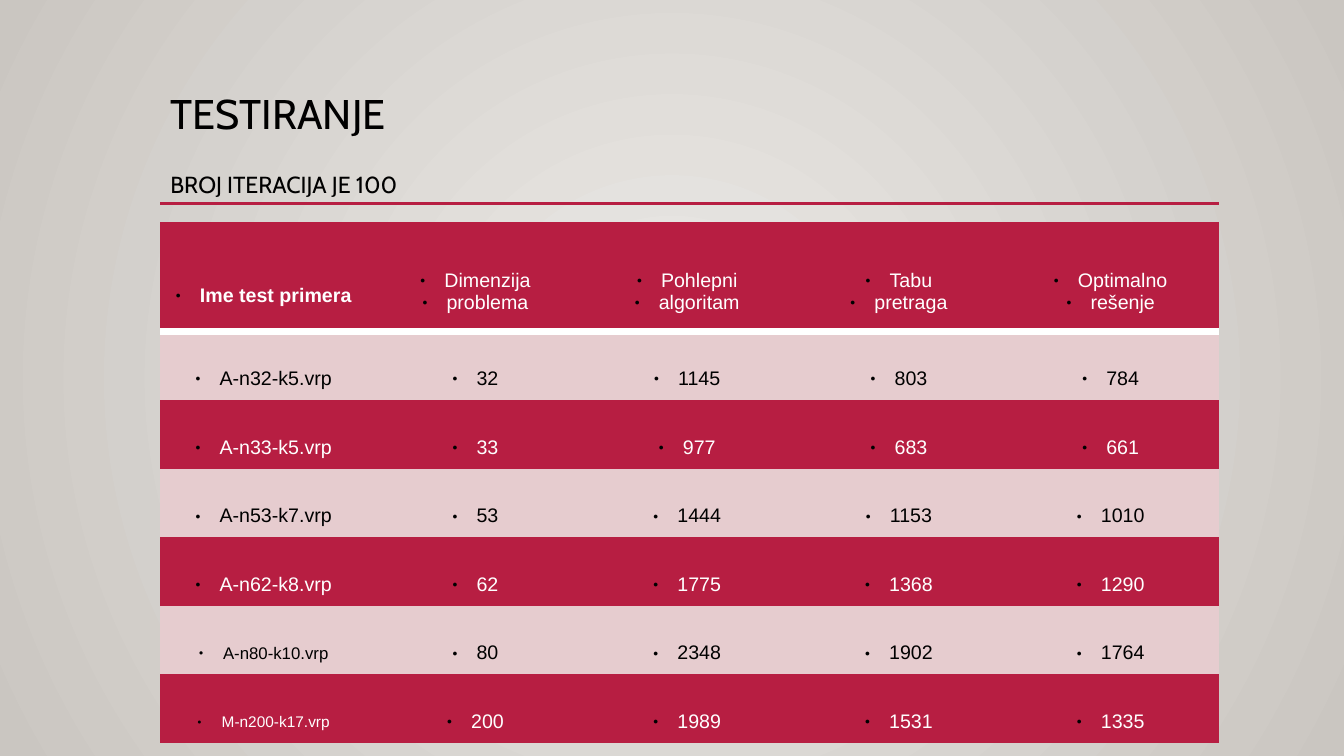
"""Build the slide with the test results for 100 iterations."""
from lxml import etree
from pptx import Presentation
from pptx.dml import color
from pptx.enum import shapes, text
from pptx.oxml import ns, parse_xml
from pptx.util import Inches, Pt

RED, PINK, WHITE, BLACK = "B71E42", "E6CCCF", "FFFFFF", "000000"
LEFT, WIDE = 1.59, 10.5
NS = ns.nsdecls("a")
BULLET = (
    f'<a:buClr {NS}><a:srgbClr val="{BLACK}"/></a:buClr>',
    f'<a:buSzPct {NS} val="45000"/>',
    f'<a:buFont {NS} typeface="Arial"/>',
    f'<a:buChar {NS} char="●"/>',
)
ROWS = [
    ("Ime test primera", "Dimenzija\nproblema", "Pohlepni\nalgoritam", "Tabu\npretraga", "Optimalno\nrešenje"),
    ("A-n32-k5.vrp", "32", "1145", "803", "784"),
    ("A-n33-k5.vrp", "33", "977", "683", "661"),
    ("A-n53-k7.vrp", "53", "1444", "1153", "1010"),
    ("A-n62-k8.vrp", "62", "1775", "1368", "1290"),
    ("A-n80-k10.vrp", "80", "2348", "1902", "1764"),
    ("M-n200-k17.vrp", "200", "1989", "1531", "1335"),
]
SMALL = {"A-n80-k10.vrp": 12, "M-n200-k17.vrp": 11}


def rgb(code):
    return color.RGBColor.from_string(code)


def style(par, size, face, code, bold=False):
    for run in par.runs:
        run.font.size = Pt(size)
        run.font.name = face
        run.font.bold = bold
        run.font.color.rgb = rgb(code)


deck = Presentation()
deck.slide_width, deck.slide_height = Inches(13.33), Inches(7.5)
slide = deck.slides.add_slide(deck.slide_layouts[5])

back = slide.background.fill
back.gradient()
for stop, code, pos in zip(back.gradient_stops, ("ECEAE7", "CAC6C1"), (0, 1)):
    stop.color.rgb = rgb(code)
    stop.position = pos
grad = slide.element.find(".//" + ns.qn("a:gradFill"))
grad.remove(grad.find(ns.qn("a:lin")))
grad.append(parse_xml(
    f'<a:path {NS} path="circle"><a:fillToRect l="50000" t="50000" r="50000" b="50000"/></a:path>'))

rule = slide.shapes.add_connector(
    shapes.MSO_CONNECTOR.STRAIGHT, Inches(LEFT), Inches(2.02), Inches(LEFT + WIDE), Inches(2.02))
rule.line.color.rgb = rgb(RED)
rule.line.width = Pt(2.5)
etree.SubElement(rule.element.spPr, ns.qn("a:effectLst"))

title = slide.shapes.title
title.left, title.top = Inches(LEFT), Inches(0.88)
title.width, title.height = Inches(WIDE), Inches(1.15)
frame = title.text_frame
frame.text = "TESTIRANJE\nBROJ ITERACIJA JE 100"
frame.auto_size = text.MSO_AUTO_SIZE.NONE
frame.word_wrap = True
frame.vertical_anchor = text.MSO_ANCHOR.BOTTOM
frame.margin_bottom = Inches(0.07)
for par, size, gap in zip(frame.paragraphs, (29.6, 16.6), (0, 27)):
    par.alignment = text.PP_ALIGN.LEFT
    par.line_spacing = 0.8
    par.space_before = Pt(gap)
    style(par, size, "Cabin", BLACK)

holder = slide.shapes.add_table(
    len(ROWS), 5, Inches(LEFT), Inches(2.2), Inches(WIDE), Inches(5.19))
table = holder.table
table.first_row = table.horz_banding = False
table._tbl.tblPr.find(ns.qn("a:tableStyleId")).text = "{2D5ABB26-0587-4C30-8999-92F81FD0307C}"
for r, row in enumerate(ROWS):
    table.rows[r].height = Inches(0.68 if r else 1.09)
    fill, ink = (PINK, BLACK) if r % 2 else (RED, WHITE)
    for c, words in enumerate(row):
        cell = table.cell(r, c)
        head = r == 0 and c == 0
        cell.text_frame.text = words
        cell.vertical_anchor = text.MSO_ANCHOR.MIDDLE
        cell.margin_top = Inches(0.43 if head else 0.31 if r else 0.34)
        cell.margin_right = Inches(0.15)
        cell.fill.solid()
        cell.fill.fore_color.rgb = rgb(fill)
        if r == 0:
            cell._tc.tcPr.insert(0, parse_xml(
                f'<a:lnB {NS} w="{Pt(6)}"><a:solidFill><a:srgbClr val="{WHITE}"/></a:solidFill></a:lnB>'))
        for par in cell.text_frame.paragraphs:
            par.alignment = text.PP_ALIGN.CENTER
            props = par._p.get_or_add_pPr()
            props.set("marL", str(Inches(0.24)))
            props.set("indent", str(Inches(-0.24)))
            for part in BULLET:
                props.append(parse_xml(part))
            style(par, SMALL.get(words, 14), "Arial", ink, head)

deck.save("out.pptx")
